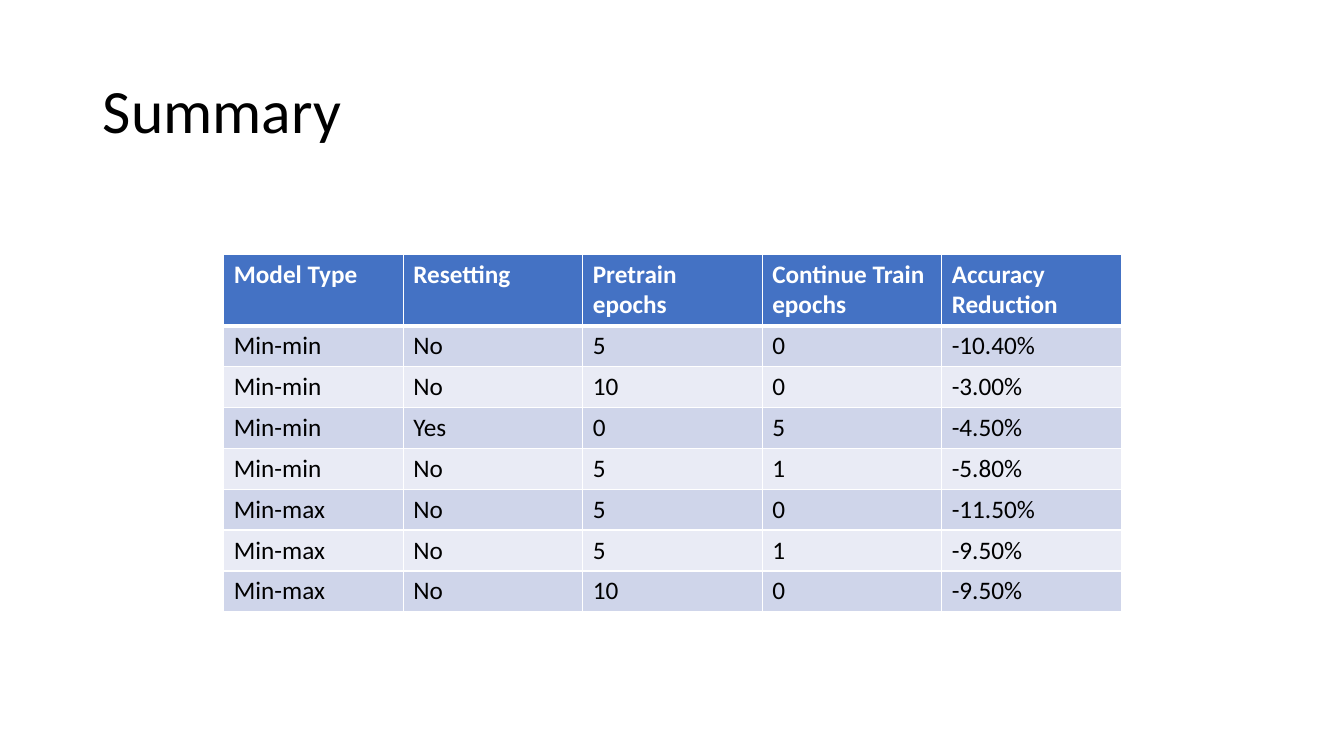
from lxml import etree
from pptx import Presentation
from pptx.dml.color import RGBColor
from pptx.enum.text import MSO_ANCHOR, PP_ALIGN
from pptx.oxml.ns import qn
from pptx.util import Inches, Pt

MIDDLE = MSO_ANCHOR.MIDDLE
LEFT = PP_ALIGN.LEFT
TITLE_ONLY = 5

HEADINGS = ["Model Type", "Resetting", "Pretrain epochs",
            "Continue Train epochs", "Accuracy Reduction"]
RESULTS = [
    ["Min-min", "No", "5", "0", "-10.40%"],
    ["Min-min", "No", "10", "0", "-3.00%"],
    ["Min-min", "Yes", "0", "5", "-4.50%"],
    ["Min-min", "No", "5", "1", "-5.80%"],
    ["Min-max", "No", "5", "0", "-11.50%"],
    ["Min-max", "No", "5", "1", "-9.50%"],
    ["Min-max", "No", "10", "0", "-9.50%"],
]


def color(value):
    return RGBColor.from_string(value)


class SummarySlide:
    """Holds the style and the current slide, and adds elements to it."""

    font = "Calibri"
    ink = "000000"
    white = "FFFFFF"
    header_fill = "4472C4"
    band_fills = ("CFD5EA", "E9EBF5")

    def __init__(self, deck):
        self.page = deck.slides.add_slide(deck.slide_layouts[TITLE_ONLY])
        self.page.background.fill.solid()
        self.page.background.fill.fore_color.rgb = color(self.white)

    def format_text(self, frame, size, ink, bold=False):
        for para in frame.paragraphs:
            para.alignment = LEFT
            for span in para.runs:
                span.font.name = self.font
                span.font.size = Pt(size)
                span.font.bold = bold
                span.font.color.rgb = color(ink)

    def add_title(self, text, left, top, width, height):
        title = self.page.shapes.title
        title.left, title.top = Inches(left), Inches(top)
        title.width, title.height = Inches(width), Inches(height)
        frame = title.text_frame
        frame.text = text
        frame.word_wrap = True
        frame.vertical_anchor = MIDDLE
        frame.paragraphs[0].line_spacing = 0.9
        self.format_text(frame, 44, self.ink)

    def add_borders(self, cell, widths):
        properties = cell._tc.get_or_add_tcPr()
        for position, (side, width) in enumerate(widths.items()):
            line = etree.Element(qn(f"a:{side}"), w=str(Pt(width)))
            fill = etree.SubElement(line, qn("a:solidFill"))
            etree.SubElement(fill, qn("a:srgbClr"), val=self.white)
            properties.insert(position, line)

    def add_table(self, rows, left, top, column_width, header_height, row_height):
        columns = len(rows[0])
        heights = [header_height] + [row_height] * (len(rows) - 1)
        table = self.page.shapes.add_table(
            len(rows), columns, Inches(left), Inches(top),
            Inches(column_width * columns), Inches(sum(heights))).table
        for column in table.columns:
            column.width = Inches(column_width)
        for index, values in enumerate(rows):
            table.rows[index].height = Inches(heights[index])
            header = index == 0
            fill = self.header_fill if header else self.band_fills[(index - 1) % 2]
            widths = {"lnL": 1, "lnR": 1,
                      "lnT": 3 if index == 1 else 1,
                      "lnB": 3 if header else 1}
            for position, value in enumerate(values):
                cell = table.cell(index, position)
                cell.text_frame.text = value
                self.format_text(cell.text_frame, 18,
                                 self.white if header else self.ink, header)
                cell.fill.solid()
                cell.fill.fore_color.rgb = color(fill)
                self.add_borders(cell, widths)


def main():
    deck = Presentation()
    deck.slide_width, deck.slide_height = Inches(13.33), Inches(7.5)
    summary = SummarySlide(deck)
    summary.add_table([HEADINGS] + RESULTS, 2.22, 2.52, 1.78, 0.7, 0.4)
    summary.add_title("Summary", 0.92, 0.4, 11.5, 1.45)
    deck.save("out.pptx")


if __name__ == "__main__":
    main()
